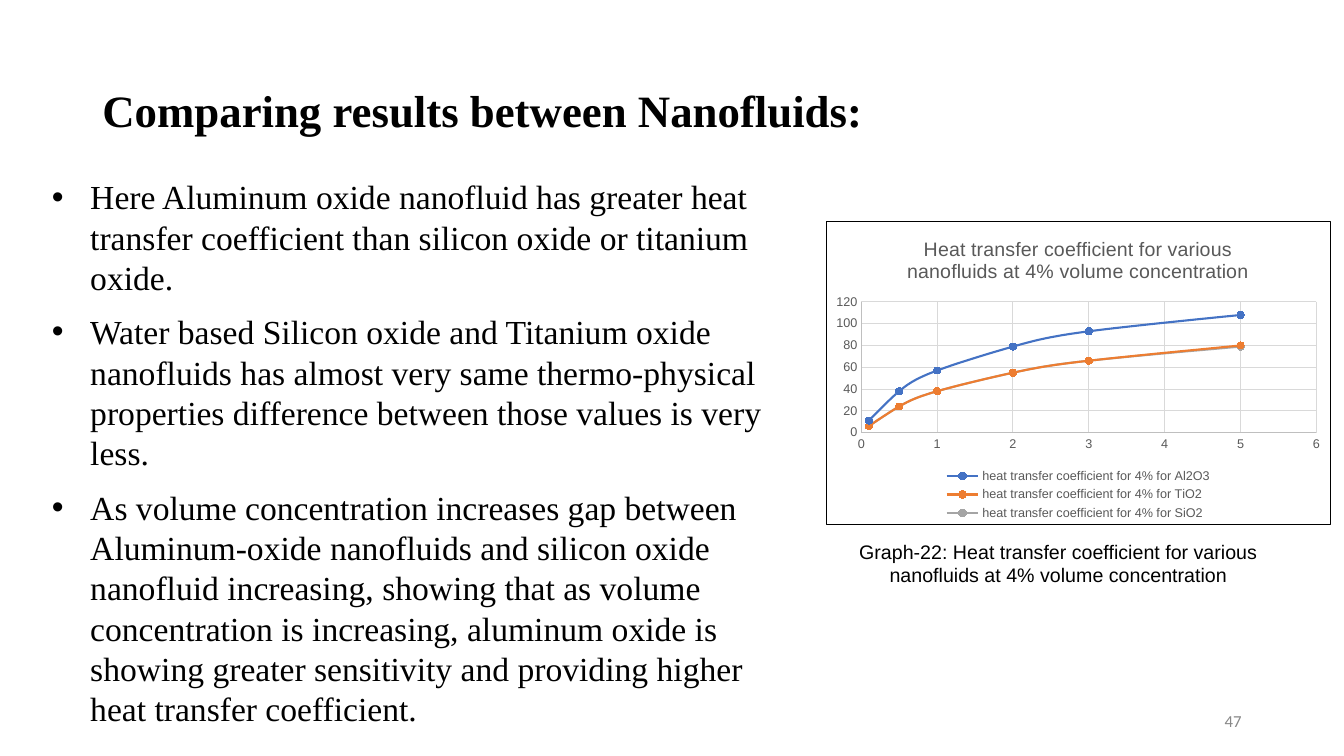
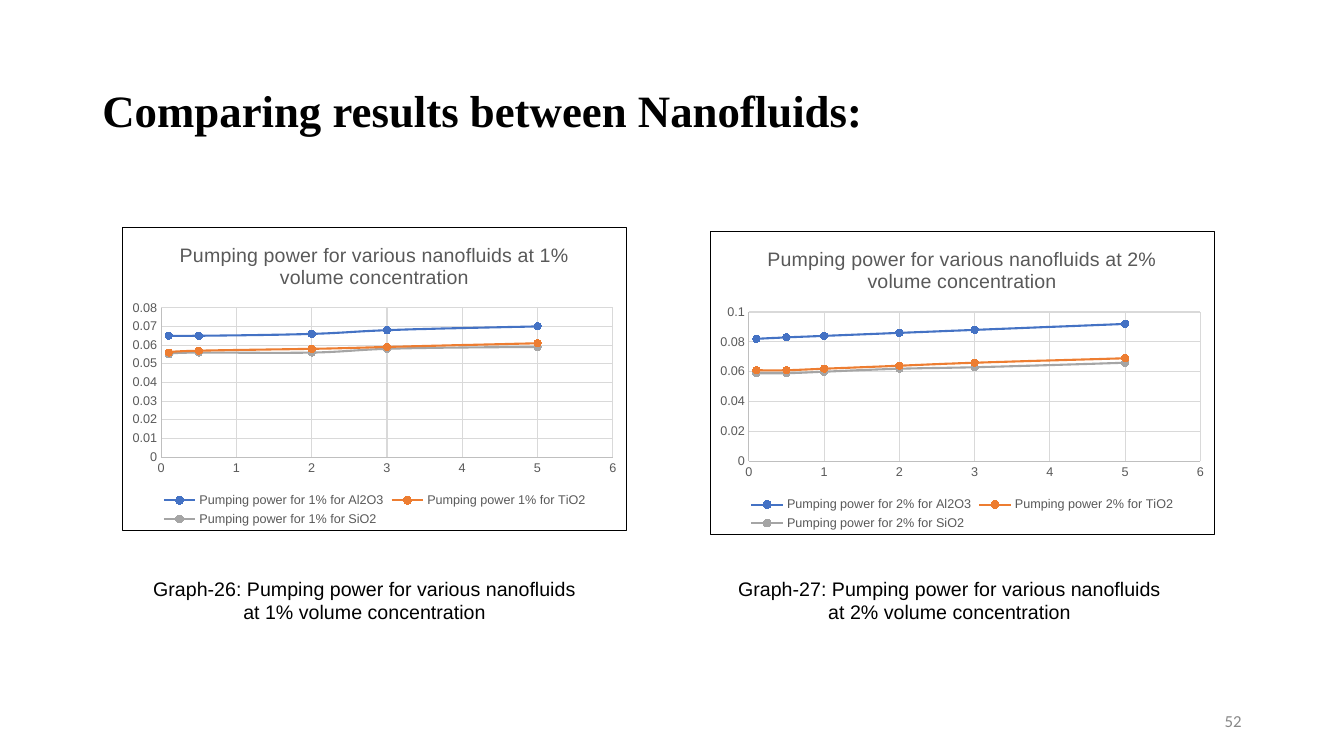
from lxml import etree
from pptx import Presentation
from pptx import util as u
from pptx.chart.data import XyChartData
from pptx.dml.color import RGBColor
from pptx.enum import chart as ch
from pptx.enum import text
from pptx.oxml import parse_xml
from pptx.oxml.ns import nsdecls, qn

BLACK = RGBColor(0x00, 0x00, 0x00)
GREY = RGBColor(0x59, 0x59, 0x59)
PAGE_GREY = RGBColor(0x88, 0x88, 0x88)
AXIS = RGBColor(0xBF, 0xBF, 0xBF)
GRID = RGBColor(0xD9, 0xD9, 0xD9)
SERIES = (
    RGBColor(0x44, 0x72, 0xC4),
    RGBColor(0xED, 0x7D, 0x31),
    RGBColor(0xA5, 0xA5, 0xA5),
)
SERIF, SANS, FOOTER = "Times New Roman", "Arial", "Calibri"
COLS, ROWS = 80, 45
CHART_SIZE = (30.05, 18.1)
CAPTION_SIZE = (27.6, 5)
TITLE = "Comparing results between Nanofluids:"

FINDINGS = [
    "Here Aluminum oxide nanofluid has greater heat transfer coefficient than "
    "silicon oxide or titanium oxide.",
    "Water based Silicon oxide and Titanium oxide nanofluids has almost very same "
    "thermo-physical properties difference between those values is very less.",
    "As volume concentration increases gap between Aluminum-oxide nanofluids and "
    "silicon oxide nanofluid increasing, showing that as volume concentration is "
    "increasing, aluminum oxide is showing greater sensitivity and providing higher "
    "heat transfer coefficient.",
]
X_ALL = [0.1, 0.5, 1, 2, 3, 5]
X_PUMP_1 = [0.1, 0.5, 2, 3, 5, None]
HEAT = {
    "heat transfer coefficient for 4% for Al2O3": [11, 38, 57, 79, 93, 108],
    "heat transfer coefficient for 4% for TiO2": [6, 24, 38, 55, 66, 80],
    "heat transfer coefficient for 4% for SiO2": [6, 24, 38, 55, 66, 79],
}
PUMP_1 = {
    "Pumping power for 1% for Al2O3": [0.065, 0.065, 0.066, 0.068, 0.07, 0.073],
    "Pumping power 1% for TiO2": [0.056, 0.057, 0.058, 0.059, 0.061, 0.064],
    "Pumping power for 1% for SiO2": [0.055, 0.056, 0.056, 0.058, 0.059, 0.062],
}
PUMP_2 = {
    "Pumping power for 2% for Al2O3": [0.082, 0.083, 0.084, 0.086, 0.088, 0.092],
    "Pumping power 2% for TiO2": [0.061, 0.061, 0.062, 0.064, 0.066, 0.069],
    "Pumping power for 2% for SiO2": [0.059, 0.059, 0.06, 0.062, 0.063, 0.066],
}


def style_font(font, name, size, color, bold=False):
    font.name, font.size, font.bold = name, u.Pt(size), bold
    font.color.rgb = color


def style_line(line, color, width=0.75):
    line.color.rgb = color
    line.width = u.Pt(width)


class Deck:
    def __init__(self):
        self.prs = Presentation()
        self.prs.slide_width = u.Inches(13.33)
        self.prs.slide_height = u.Inches(7.5)
        self.s = None

    def box(self, col, row, cols, rows):
        w, h = self.prs.slide_width / COLS, self.prs.slide_height / ROWS
        return [round(v) for v in (col * w, row * h, cols * w, rows * h)]

    def slide(self, number):
        self.s = self.prs.slides.add_slide(self.prs.slide_layouts[6])
        p, = self.text([TITLE], (5.5, 2.4, 69, 8.7), SERIF, 32, bold=True,
                       anchor=text.MSO_ANCHOR.MIDDLE)
        p.line_spacing = 0.9
        self.text([str(number)], (56.5, 41.7, 18, 2.4), FOOTER, 12, PAGE_GREY,
                  align=text.PP_ALIGN.RIGHT, anchor=text.MSO_ANCHOR.MIDDLE)

    def text(self, lines, place, font, size, color=BLACK, bold=False,
             align=text.PP_ALIGN.LEFT, anchor=text.MSO_ANCHOR.TOP):
        tf = self.s.shapes.add_textbox(*self.box(*place)).text_frame
        tf.word_wrap = True
        tf.vertical_anchor = anchor
        tf.text = "\n".join(lines)
        for p in tf.paragraphs:
            p.alignment = align
            style_font(p.font, font, size, color, bold)
        return tf.paragraphs

    def bullets(self, lines, place):
        for i, p in enumerate(self.text(lines, place, SERIF, 24)):
            p.line_spacing = 1.0
            p.space_before = u.Pt(10 if i else 0)
            pPr = p._p.get_or_add_pPr()
            pPr.set("marL", str(u.Inches(0.5)))
            pPr.set("indent", str(u.Inches(-0.38)))
            bullet = etree.Element(qn("a:buChar"), char="•")
            pPr.find(qn("a:defRPr")).addprevious(bullet)
            bullet.addprevious(etree.Element(qn("a:buFont"), typeface=SANS))

    def caption(self, line, col, row):
        self.text([line], (col, row, *CAPTION_SIZE), SANS, 14,
                  align=text.PP_ALIGN.CENTER)

    def scatter(self, title, xs, series, col, row, top, step):
        data = XyChartData()
        for name, values in series.items():
            points = data.add_series(name)
            for x, y in zip(xs, values):
                points.add_data_point(x, y)
        chart = self.s.shapes.add_chart(
            ch.XL_CHART_TYPE.XY_SCATTER_SMOOTH,
            *self.box(col, row, *CHART_SIZE), data).chart
        style_font(chart.font, SANS, 9, GREY)
        chart.has_title = True
        p = chart.chart_title.text_frame.paragraphs[0]
        p.text = title
        style_font(p.font, SANS, 14, GREY)
        chart.chart_title.include_in_layout = False
        chart.has_legend = True
        chart.legend.position = ch.XL_LEGEND_POSITION.BOTTOM
        chart.legend.include_in_layout = False
        style_font(chart.legend.font, SANS, 9, GREY)
        self.axis(chart.category_axis, 6, 1)
        self.axis(chart.value_axis, top, step)
        plot = chart.plots[0]
        plot.vary_by_categories = False
        for ser, color in zip(plot.series, SERIES):
            self.curve(ser, color)
        self.frame(chart)

    def curve(self, ser, color):
        style_line(ser.format.line, color, 1.5)
        ser.marker.style = ch.XL_MARKER_STYLE.CIRCLE
        ser.marker.size = 5
        ser.marker.format.fill.solid()
        ser.marker.format.fill.fore_color.rgb = color
        style_line(ser.marker.format.line, color)
        node = ser._element
        for smooth in node.findall(qn("c:smooth")):
            node.remove(smooth)
        smooth = parse_xml(f'<c:smooth {nsdecls("c")} val="1"/>')
        node.find(qn("c:yVal")).addnext(smooth)
        for pt in list(node.iter(qn("c:pt"))):
            if pt.findtext(qn("c:v")) in (None, "", "None"):
                pt.getparent().remove(pt)

    def axis(self, axis, top, step):
        axis.minimum_scale, axis.maximum_scale, axis.major_unit = 0, top, step
        axis.major_tick_mark = axis.minor_tick_mark = ch.XL_TICK_MARK.NONE
        axis.has_major_gridlines = True
        style_line(axis.major_gridlines.format.line, GRID)
        style_line(axis.format.line, AXIS)
        style_font(axis.tick_labels.font, SANS, 9, GREY)
        axis.tick_labels.number_format = "General"
        axis.tick_labels.number_format_is_linked = False

    def frame(self, chart):
        border = parse_xml(
            f'<c:spPr {nsdecls("c", "a")}>'
            '<a:solidFill><a:srgbClr val="FFFFFF"/></a:solidFill>'
            f'<a:ln w="{u.Pt(0.75)}"><a:solidFill><a:srgbClr val="{BLACK}"/>'
            '</a:solidFill></a:ln></c:spPr>')
        chart._chartSpace.find(qn("c:chart")).addnext(border)


def main():
    deck = Deck()

    deck.slide(47)
    deck.bullets(FINDINGS, (1.78, 10.2, 46.44, 28.56))
    heat = "Heat transfer coefficient for various nanofluids at 4% volume concentration"
    deck.scatter(heat, X_ALL, HEAT, 49.15, 13.15, 120, 20)
    deck.caption(f"Graph-22: {heat}", 49.2, 31.83)

    deck.slide(52)
    pumping = [
        (1, 26, X_PUMP_1, PUMP_1, 7.27, 13.5, 0.08, 0.01, 7.9),
        (2, 27, X_ALL, PUMP_2, 42.25, 13.75, 0.1, 0.02, 42.72),
    ]
    for percent, graph, xs, series, col, row, top, step, caption_col in pumping:
        title = f"Pumping power for various nanofluids at {percent}% volume concentration"
        deck.scatter(title, xs, series, col, row, top, step)
        deck.caption(f"Graph-{graph}: {title}", caption_col, 34.03)

    deck.prs.save("out.pptx")


if __name__ == "__main__":
    main()
